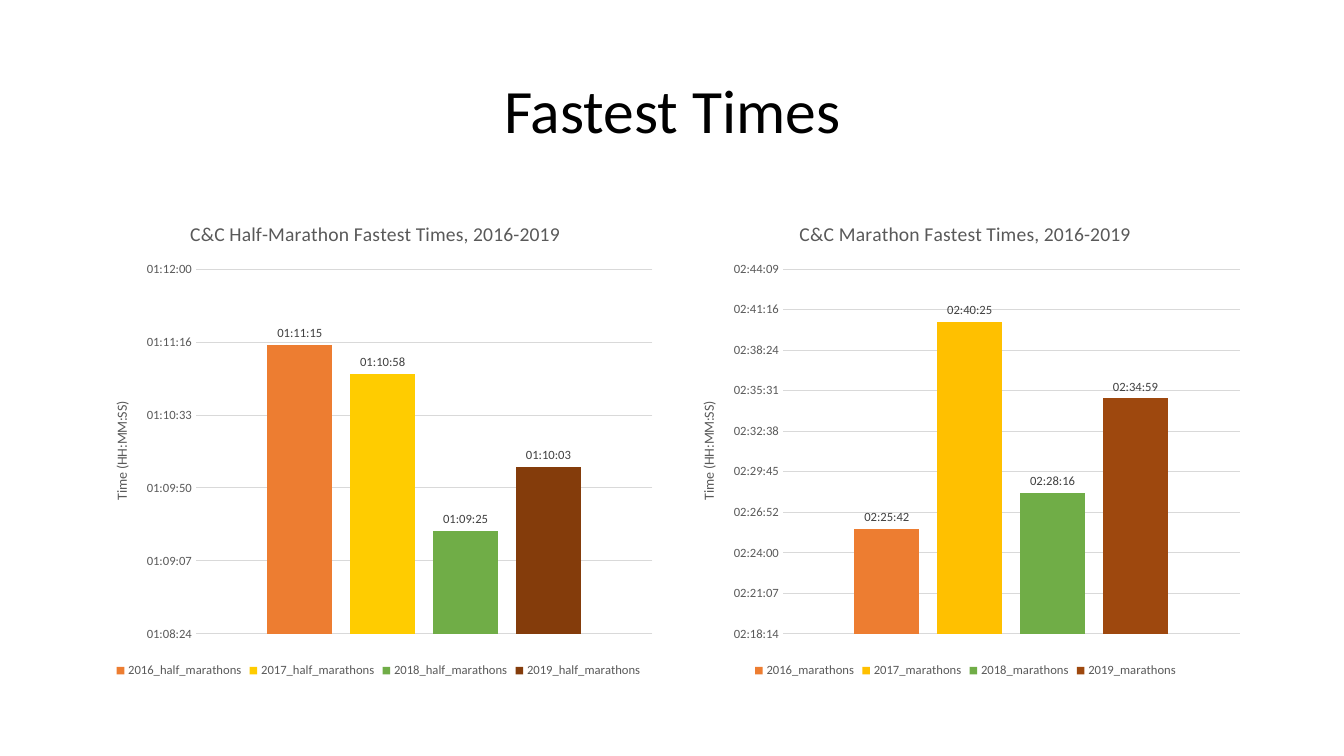
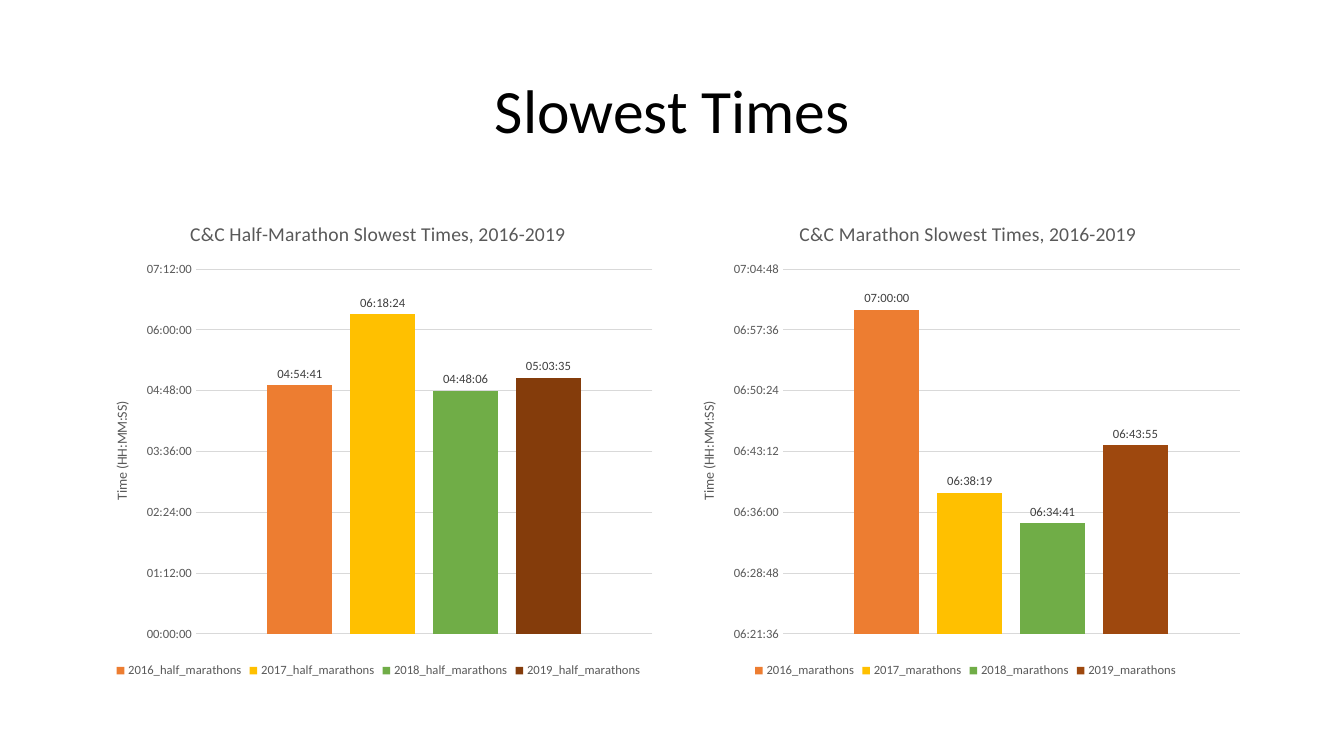
from dataclasses import dataclass
from math import ceil

from pptx import Presentation
from pptx.chart.data import CategoryChartData
from pptx.dml.color import RGBColor as RGB
from pptx.enum.chart import (
    XL_CHART_TYPE as CT,
    XL_LABEL_POSITION as LABEL_POS,
    XL_LEGEND_POSITION as LEGEND_POS,
    XL_TICK_MARK as TICK,
)
from pptx.enum.text import MSO_ANCHOR, PP_ALIGN
from pptx.oxml import parse_xml
from pptx.oxml.ns import nsdecls, qn
from pptx.util import Pt

PX = 914400 / 100.8


@dataclass(frozen=True)
class Theme:
    font: str = "Calibri"
    title: str = "000000"
    text: str = "595959"
    label: str = "404040"
    grid: str = "D9D9D9"
    orange: str = "ED7D31"
    gold: str = "FFC000"
    yellow: str = "FFCC00"
    green: str = "70AD47"
    rust: str = "9E480E"
    brown: str = "843C0B"
    title_size: int = 44
    chart_title_size: int = 14
    axis_title_size: int = 10
    small_size: int = 9


T = Theme()
TIME_FORMAT = "hh:mm:ss"
YEARS = range(2016, 2020)
SCALE_PARTS_PER_DAY = 10000
TITLE_BOX = (93, 40, 1159, 147)
CHART_BOXES = [(x, 202, 571, 480) for x in (93, 680)]
TITLE_CHAR_PX = 8.86


@dataclass(frozen=True)
class TimeChart:
    title: str
    suffix: str
    times: tuple
    scale: tuple
    colors: tuple


HALF_COLORS = (T.orange, T.gold, T.green, T.brown)
FULL_COLORS = (T.orange, T.gold, T.green, T.rust)

SLIDES = [
    ("Fastest Times", (
        TimeChart("C&C Half-Marathon Fastest Times, 2016-2019", "half_marathons",
                  ("01:11:15", "01:10:58", "01:09:25", "01:10:03"),
                  (475, 500, 5),
                  (T.orange, T.yellow, T.green, T.brown)),
        TimeChart("C&C Marathon Fastest Times, 2016-2019", "marathons",
                  ("02:25:42", "02:40:25", "02:28:16", "02:34:59"),
                  (960, 1140, 20), FULL_COLORS),
    )),
    ("Slowest Times", (
        TimeChart("C&C Half-Marathon Slowest Times, 2016-2019", "half_marathons",
                  ("04:54:41", "06:18:24", "04:48:06", "05:03:35"),
                  (0, 3000, 500), HALF_COLORS),
        TimeChart("C&C Marathon Slowest Times, 2016-2019", "marathons",
                  ("07:00:00", "06:38:19", "06:34:41", "06:43:55"),
                  (2650, 2950, 50), FULL_COLORS),
    )),
]


def emu(box):
    return [round(v * PX) for v in box]


def day_fraction(clock):
    h, m, s = map(int, clock.split(":"))
    return ceil((h * 3600 + m * 60 + s) * 1000000 / 86400) / 1000000


def set_font(font, size, color):
    font.name = T.font
    font.size = Pt(size)
    font.bold = False
    font.color.rgb = RGB.from_string(color)


def set_layout(element, index, **fractions):
    for old in element.findall(qn("c:layout")):
        element.remove(old)
    target = '<c:layoutTarget val="inner"/>' if "w" in fractions else ""
    modes = "".join(f'<c:{k}Mode val="edge"/>' for k in fractions if k in "xy")
    values = "".join(f'<c:{k} val="{v:.3f}"/>' for k, v in fractions.items())
    element.insert(index, parse_xml(
        f'<c:layout {nsdecls("c")}><c:manualLayout>{target}{modes}{values}'
        "</c:manualLayout></c:layout>"))


def set_chart_title(title, text, size, x, y):
    tf = title.text_frame
    tf.text = text
    set_font(tf.paragraphs[0].runs[0].font, size, T.text)
    set_layout(title.element, 1, x=x, y=y)


def format_value_axis(axis, scale):
    axis.minimum_scale, axis.maximum_scale, axis.major_unit = (
        v / SCALE_PARTS_PER_DAY for v in scale)
    axis.major_tick_mark = axis.minor_tick_mark = TICK.NONE
    axis.format.line.fill.background()
    grid = axis.major_gridlines.format.line
    grid.color.rgb = RGB.from_string(T.grid)
    grid.width = Pt(0.75)
    labels = axis.tick_labels
    labels.number_format = TIME_FORMAT
    labels.number_format_is_linked = False
    set_font(labels.font, T.small_size, T.text)
    set_chart_title(axis.axis_title, "Time (HH:MM:SS)", T.axis_title_size, 0.03, 0.41)
    body = axis.axis_title.element.find(".//" + qn("a:bodyPr"))
    body.set("rot", "-5400000")
    body.set("vert", "horz")


def format_series(series, color):
    series.format.fill.solid()
    series.format.fill.fore_color.rgb = RGB.from_string(color)
    series.invert_if_negative = False
    labels = series.data_labels
    labels.show_value = True
    labels.position = LABEL_POS.OUTSIDE_END
    labels.number_format = TIME_FORMAT
    labels.number_format_is_linked = False
    set_font(labels.font, T.small_size, T.label)


def add_time_chart(slide, box, info):
    data = CategoryChartData(number_format=TIME_FORMAT)
    data.categories = ["1"]
    for year, clock in zip(YEARS, info.times):
        data.add_series(f"{year}_{info.suffix}", [day_fraction(clock)])
    chart = slide.shapes.add_chart(CT.COLUMN_CLUSTERED, *emu(box), data).chart
    set_font(chart.font, T.axis_title_size, T.title)
    chart.has_title = True
    title_width = len(info.title) * TITLE_CHAR_PX / box[2]
    set_chart_title(chart.chart_title, info.title, T.chart_title_size,
                    0.49 - title_width / 2, 0.03)
    chart.has_legend = True
    chart.legend.position = LEGEND_POS.BOTTOM
    chart.legend.include_in_layout = False
    set_font(chart.legend.font, T.small_size, T.text)
    chart.category_axis.visible = False
    format_value_axis(chart.value_axis, info.scale)
    plot = chart.plots[0]
    plot.vary_by_categories = False
    plot.gap_width = 219
    plot.overlap = -27
    for series, color in zip(plot.series, info.colors):
        format_series(series, color)
    set_layout(chart.element.find(".//" + qn("c:plotArea")), 0,
               x=0.18, y=0.14, w=0.8, h=0.76)


def add_title(slide, box, text):
    sp = slide.shapes.title
    sp.left, sp.top, sp.width, sp.height = emu(box)
    tf = sp.text_frame
    tf.text = text
    tf.vertical_anchor = MSO_ANCHOR.MIDDLE
    p = tf.paragraphs[0]
    p.alignment = PP_ALIGN.CENTER
    p.line_spacing = 0.9
    set_font(p.runs[0].font, T.title_size, T.title)


def add_times_slide(prs, title, charts):
    slide = prs.slides.add_slide(prs.slide_layouts[5])
    add_title(slide, TITLE_BOX, title)
    for box, info in zip(CHART_BOXES, charts):
        add_time_chart(slide, box, info)


def main():
    prs = Presentation()
    prs.slide_width, prs.slide_height = emu((1344, 756))
    for title, charts in SLIDES:
        add_times_slide(prs, title, charts)
    prs.save("out.pptx")


if __name__ == "__main__":
    main()
